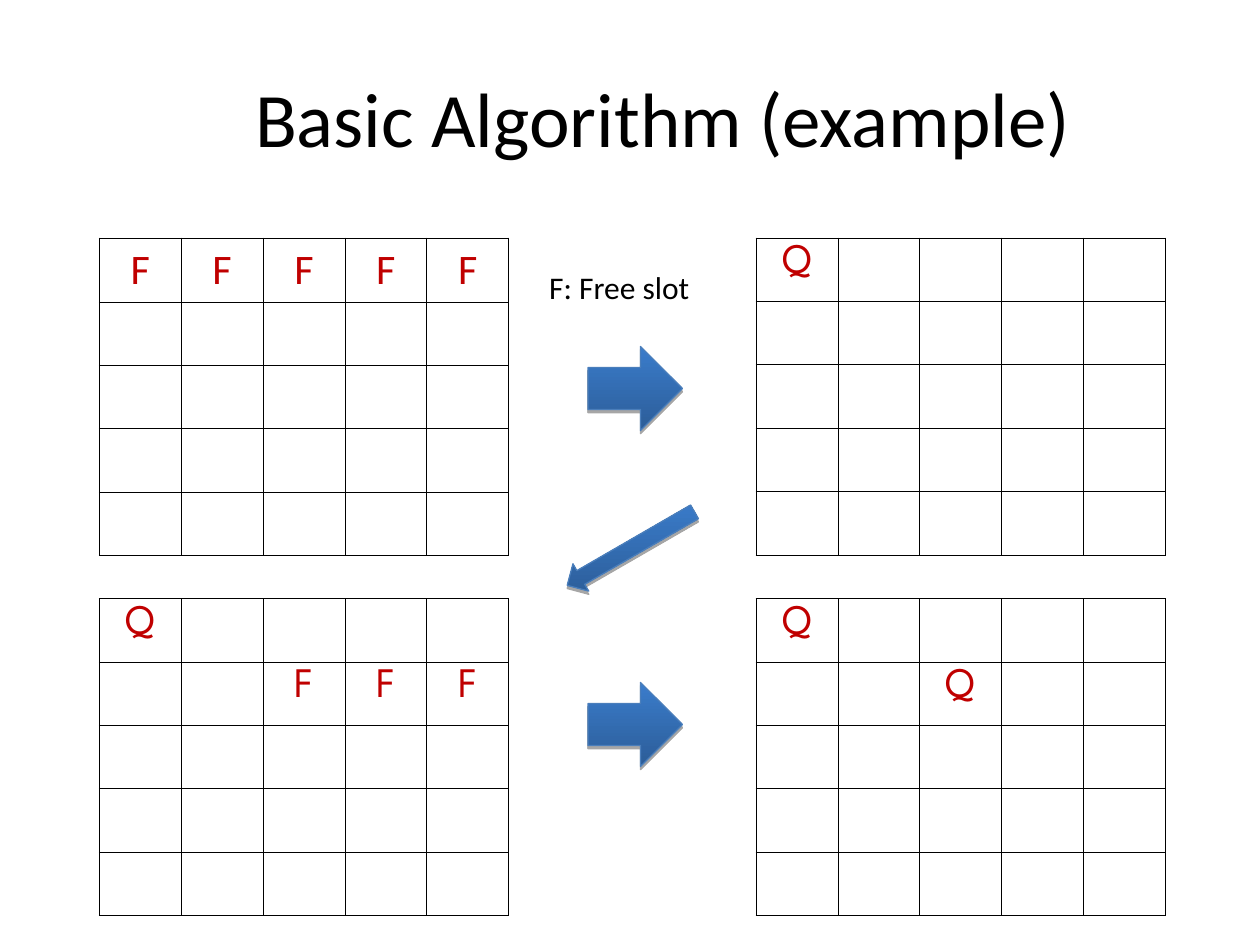
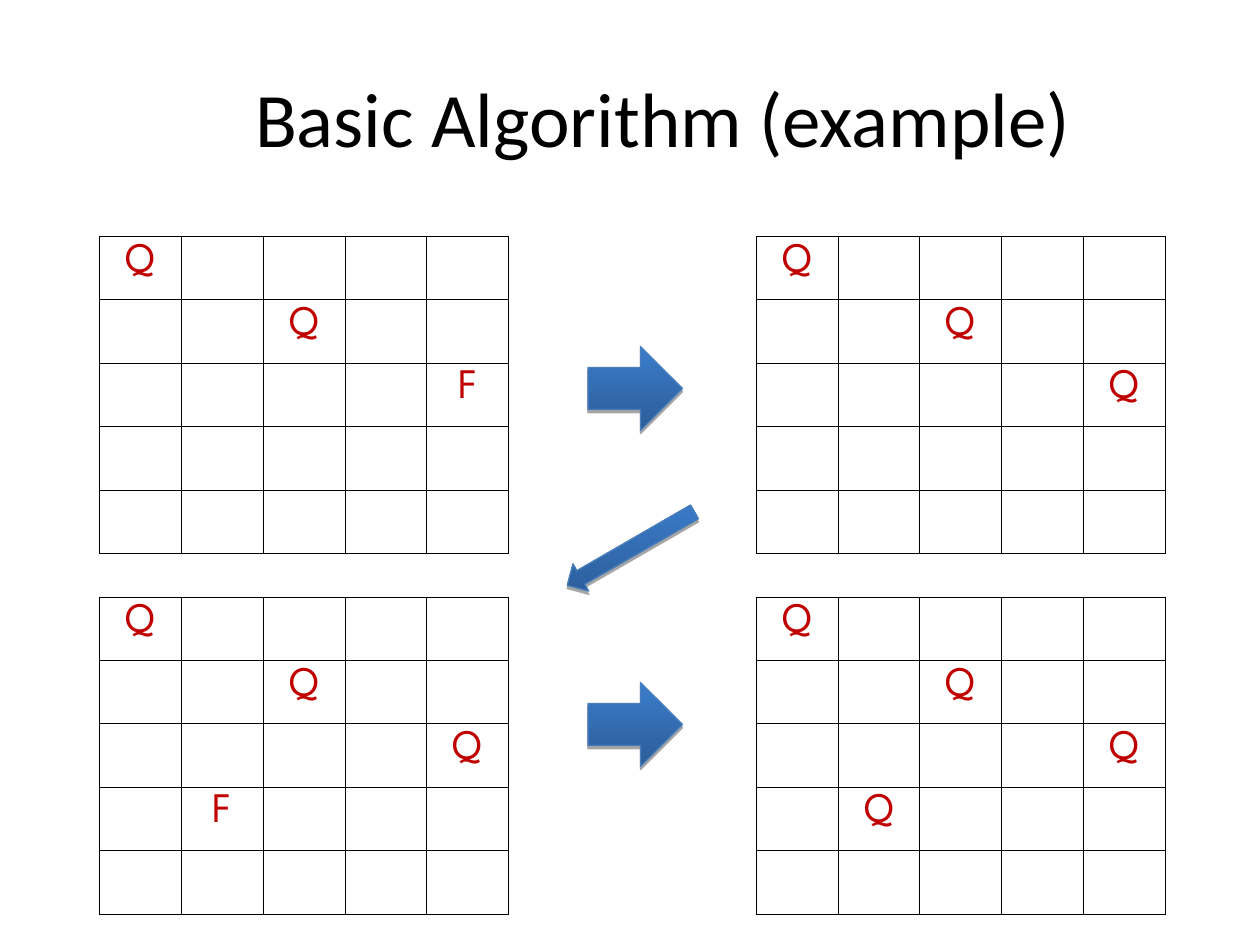
from dataclasses import dataclass

from lxml import etree
from pptx import Presentation
from pptx.dml.color import RGBColor
from pptx.enum.shapes import MSO_SHAPE
from pptx.enum.text import MSO_ANCHOR, MSO_AUTO_SIZE, PP_ALIGN
from pptx.oxml import parse_xml
from pptx.oxml.ns import nsdecls
from pptx.util import Pt

CENTER = PP_ALIGN.CENTER
MIDDLE = MSO_ANCHOR.MIDDLE
GROW = MSO_AUTO_SIZE.SHAPE_TO_FIT_TEXT
RIGHT_ARROW = MSO_SHAPE.RIGHT_ARROW
LEFT_ARROW = MSO_SHAPE.LEFT_ARROW


@dataclass(frozen=True)
class Theme:
    ink: RGBColor = RGBColor(0x00, 0x00, 0x00)
    mark: RGBColor = RGBColor(0xC0, 0x00, 0x00)
    arrow_dark: RGBColor = RGBColor(0x2C, 0x5D, 0x98)
    arrow_light: RGBColor = RGBColor(0x3A, 0x7C, 0xCB)
    arrow_edge: RGBColor = RGBColor(0x4A, 0x7E, 0xBB)
    font: str = "Calibri"
    queen_font: str = "League Spartan"
    title_size: int = 44
    mark_size: int = 24
    legend_size: int = 18


THEME = Theme()
TITLE = "Basic Algorithm (example)"
BOARD_SIZE = 5
COLUMN_WIDTH = 46.8
ROW_HEIGHT = 36.24
BOARD_LEFTS = (56.7, 432)
BOARD_ROW_STEP = 206
EMPTY = "....."

ARROWS = (
    (RIGHT_ARROW, 336, 198, 54, 48, 0, 90),
    (RIGHT_ARROW, 336, 390, 54, 48, 0, 90),
    (LEFT_ARROW, 318.5, 304.5, 84, 18, 330, 60),
)

STEPS = (
    {
        "top": 136,
        "legend": "F: Free slot",
        "boards": (
            ("FFFFF",),
            ("Q....",),
            ("Q....", "..FFF"),
            ("Q....", "..Q.."),
        ),
        "first_font": THEME.font,
    },
    {
        "top": 135.1,
        "legend": None,
        "boards": (
            ("Q....", "..Q..", "....F"),
            ("Q....", "..Q..", "....Q"),
            ("Q....", "..Q..", "....Q", ".F..."),
            ("Q....", "..Q..", "....Q", ".Q..."),
        ),
        "first_font": THEME.queen_font,
    },
)


def format_text(paragraph, size, color, font):
    for run in paragraph.runs:
        run.font.size = Pt(size)
        run.font.color.rgb = color
        run.font.name = font


def draw_board(slide, left, top, ranks, font):
    board = slide.shapes.add_table(
        BOARD_SIZE, BOARD_SIZE, Pt(left), Pt(top),
        Pt(COLUMN_WIDTH * BOARD_SIZE), Pt(ROW_HEIGHT * BOARD_SIZE),
    ).table
    board.first_row = False
    board.horz_banding = False
    for column in board.columns:
        column.width = Pt(COLUMN_WIDTH)
    for row in board.rows:
        row.height = Pt(ROW_HEIGHT)
    for index, square in enumerate(board.iter_cells()):
        rank, file = divmod(index, BOARD_SIZE)
        mark = ranks[rank][file] if rank < len(ranks) else "."
        square.fill.background()
        properties = square._tc.get_or_add_tcPr()
        for position, side in enumerate("LRTB"):
            properties.insert(position, parse_xml(
                f'<a:ln{side} {nsdecls("a")} w="{Pt(0.45)}"><a:solidFill>'
                f'<a:srgbClr val="{THEME.ink}"/></a:solidFill></a:ln{side}>'
            ))
        if mark != ".":
            paragraph = square.text_frame.paragraphs[0]
            paragraph.text = mark
            paragraph.alignment = CENTER
            format_text(paragraph, THEME.mark_size, THEME.mark, font)


presentation = Presentation()
presentation.slide_width = Pt(720)
presentation.slide_height = Pt(540)

for step in STEPS:
    slide = presentation.slides.add_slide(presentation.slide_layouts[5])
    for placeholder in list(slide.placeholders):
        if placeholder != slide.shapes.title:
            placeholder.element.getparent().remove(placeholder.element)

    title = slide.shapes.title
    title.left, title.top, title.width, title.height = Pt(36), Pt(21.6), Pt(648), Pt(90)
    title.text_frame.text = TITLE
    title.text_frame.vertical_anchor = MIDDLE
    heading = title.text_frame.paragraphs[0]
    heading.alignment = CENTER
    heading._p.get_or_add_pPr().set("marL", str(Pt(38)))
    format_text(heading, THEME.title_size, THEME.ink, THEME.font)

    for index, ranks in enumerate(step["boards"]):
        board_row, board_column = divmod(index, 2)
        font = step["first_font"] if index == 0 else THEME.queen_font
        draw_board(slide, BOARD_LEFTS[board_column],
                   step["top"] + board_row * BOARD_ROW_STEP, ranks, font)

    for outline, left, top, width, height, rotation, angle in ARROWS:
        arrow = slide.shapes.add_shape(outline, Pt(left), Pt(top), Pt(width), Pt(height))
        arrow.rotation = rotation
        arrow.fill.gradient()
        arrow.fill.gradient_angle = angle
        dark_stop, light_stop = arrow.fill.gradient_stops
        dark_stop.color.rgb = THEME.arrow_dark
        dark_stop.position = 0
        light_stop.color.rgb = THEME.arrow_light
        light_stop.position = 1
        arrow.line.color.rgb = THEME.arrow_edge
        arrow.line.width = Pt(0.75)
        arrow.shadow.inherit = False
        effects = arrow._element.spPr.find("{*}effectLst")
        effects.append(etree.fromstring(
            f'<a:outerShdw {nsdecls("a")} blurRad="0" dist="{Pt(1.8)}" dir="5400000" '
            f'rotWithShape="0"><a:srgbClr val="{THEME.ink}">'
            '<a:alpha val="35000"/></a:srgbClr></a:outerShdw>'
        ))

    if step["legend"]:
        legend = slide.shapes.add_textbox(Pt(306.7), Pt(149.8), Pt(94.3), Pt(28.8))
        legend.text_frame.text = step["legend"]
        legend.text_frame.word_wrap = False
        legend.text_frame.auto_size = GROW
        format_text(legend.text_frame.paragraphs[0], THEME.legend_size, THEME.ink, THEME.font)

presentation.save("out.pptx")
